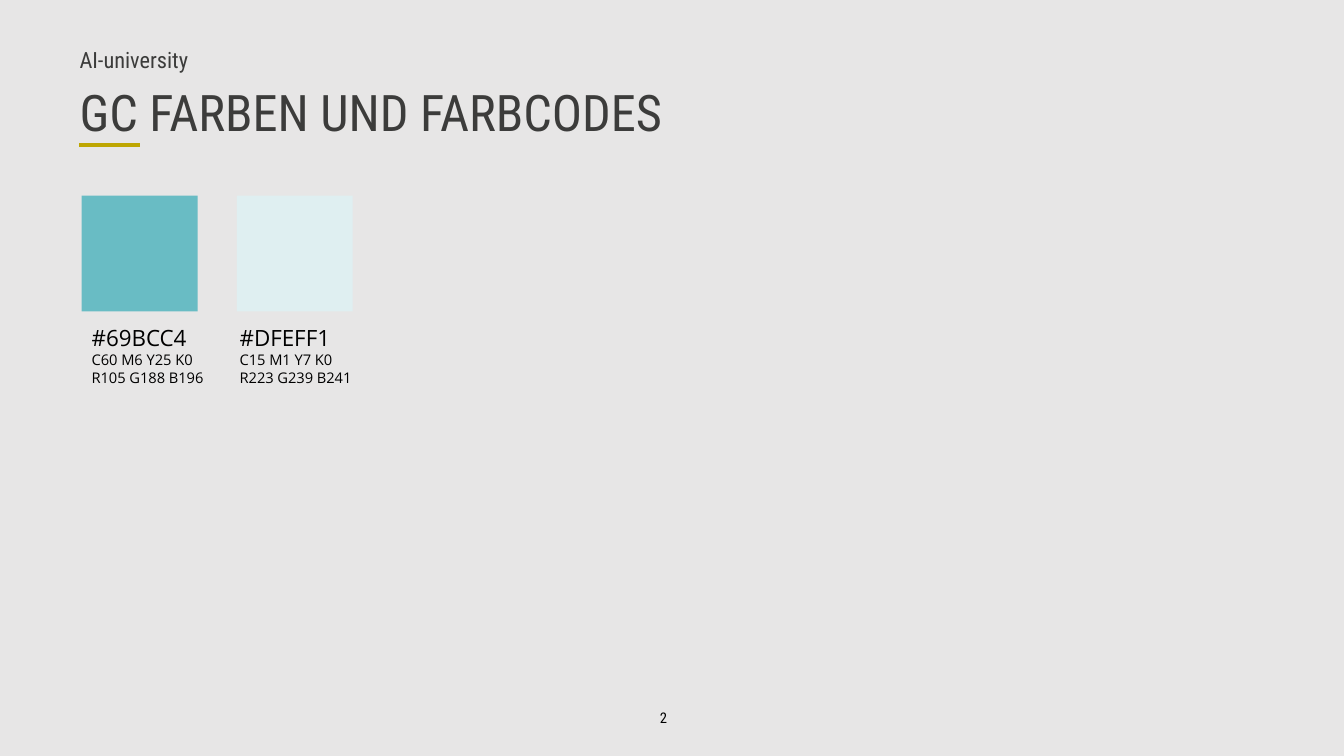
from lxml.etree import SubElement as Sub
from pptx import Presentation as Deck
from pptx.dml.color import RGBColor as Rgb
from pptx.enum.shapes import MSO_CONNECTOR as Link, MSO_SHAPE as Form
from pptx.enum.text import MSO_ANCHOR as Anchor, MSO_AUTO_SIZE as Fit, PP_ALIGN as Align
from pptx.oxml.ns import qn
from pptx.util import Cm, Pt

HEAD = "Roboto Condensed"
BODY = "Open Sans"
DARK = "3C3C3B"
BLACK = "000000"
GOLD = "BEA602"
GREY = "E7E6E6"
SIDE = 2.92
TONES = [("69BCC4", "C60 M6 Y25 K0"), ("DFEFF1", "C15 M1 Y7 K0")]


def paint(color, code):
    color.rgb = Rgb.from_string(code)


def add_run(par, text, size, font, code):
    run = par.add_run()
    run.text = text
    run.font.size = Pt(size)
    run.font.name = font
    paint(run.font.color, code)


def fill_holder(shape, box, text, size, anchor):
    shape.left, shape.top, shape.width, shape.height = map(Cm, box)
    frame = shape.text_frame
    frame.auto_size = Fit.NONE
    frame.vertical_anchor = anchor
    par = frame.paragraphs[0]
    par.alignment = Align.LEFT
    par.line_spacing = 0.9
    par.space_before = Pt(0)
    add_run(par, text, size, HEAD, DARK)
    return par


def drop_bullet(par):
    props = par._p.get_or_add_pPr()
    props.set("marL", "0")
    props.set("indent", "0")
    Sub(props, qn("a:buNone"))


def add_label(slide, box, lines, font):
    frame = slide.shapes.add_textbox(*map(Cm, box)).text_frame
    frame.word_wrap = False
    frame.auto_size = Fit.SHAPE_TO_FIT_TEXT
    for spot, (text, size) in enumerate(lines):
        par = frame.add_paragraph() if spot else frame.paragraphs[0]
        add_run(par, text, size, font, BLACK)


def add_swatch(slide, left, top, code):
    shape = slide.shapes.add_shape(Form.RECTANGLE, *map(Cm, (left, top, SIDE, SIDE)))
    shape.shadow.inherit = False
    shape.fill.solid()
    paint(shape.fill.fore_color, code)
    shape.line.fill.background()


def add_rule(slide, left, right, top):
    rule = slide.shapes.add_connector(Link.STRAIGHT, *map(Cm, (left, top, right, top)))
    rule.line.width = Pt(3)
    paint(rule.line.color, GOLD)
    Sub(rule._element.spPr, qn("a:effectLst"))


def main():
    deck = Deck()
    deck.slide_width, deck.slide_height = Cm(33.87), Cm(19.05)
    slide = deck.slides.add_slide(deck.slide_layouts[1])
    back = slide.background.fill
    back.solid()
    paint(back.fore_color, GREY)

    title, intro = slide.placeholders
    fill_holder(title, (1.75, 2.08, 30, 1.63), "GC FARBEN UND FARBCODES", 36, Anchor.MIDDLE)
    drop_bullet(fill_holder(intro, (1.75, 1.12, 30, 0.76), "AI-university", 16, Anchor.TOP))
    add_rule(slide, 2, 3.53, 3.66)

    for col, (code, inks) in enumerate(TONES):
        add_swatch(slide, 2.06 + 3.91 * col, 4.93, code)
        red, green, blue = Rgb.from_string(code)
        lines = [("#" + code, 16), (inks, 10.5), (f"R{red} G{green} B{blue}", 10.5)]
        add_label(slide, (2.06 + 3.73 * col, 8.05, 3.38, 1.83), lines, BODY)

    add_label(slide, (16.38, 17.73, 1.09, 0.71), [("2", 10.5)], HEAD)
    deck.save("out.pptx")


main()
